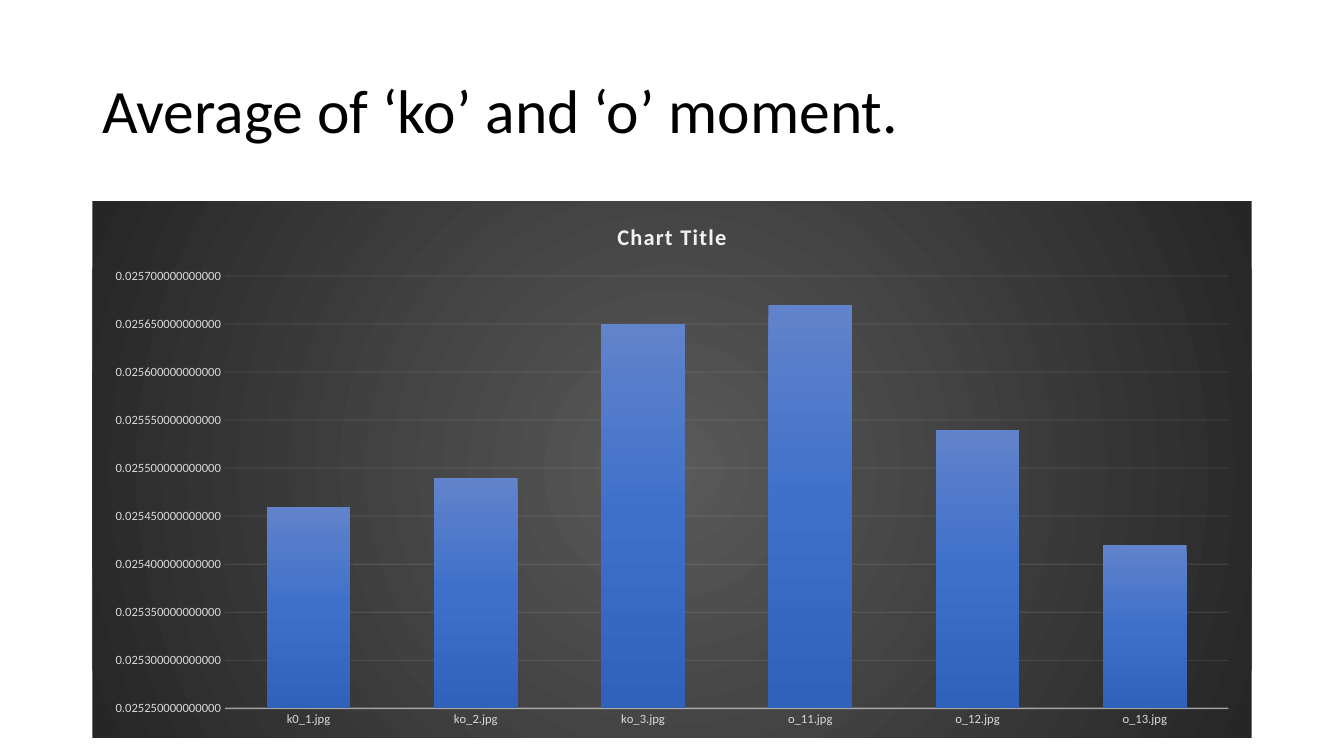
from lxml import etree
from pptx import Presentation
from pptx.chart.data import CategoryChartData
from pptx.dml.color import RGBColor
from pptx.enum.chart import XL_CHART_TYPE, XL_TICK_MARK
from pptx.enum.text import MSO_ANCHOR
from pptx.oxml import parse_xml
from pptx.oxml.ns import qn
from pptx.util import Pt

COLUMNS = XL_CHART_TYPE.COLUMN_CLUSTERED
NO_TICKS = XL_TICK_MARK.NONE
MIDDLE = MSO_ANCHOR.MIDDLE
A_NS = "http://schemas.openxmlformats.org/drawingml/2006/main"
NUMBER_FORMAT = "0.000000000000000"

COLORS = {
    "text": "000000",
    "pale": "F2F2F2",
    "label": "D9D9D9",
    "panel_center": "595959",
    "panel_edge": "262626",
    "bar_top": "6183CB",
    "bar_middle": "3E70CA",
    "bar_bottom": "3062BB",
}
CENTER_OUT = ('<a:path path="circle"><a:fillToRect l="50000" t="50000" '
              'r="50000" b="50000"/></a:path>')
DOWNWARD = '<a:lin ang="5400000" scaled="0"/>'

MOMENTS = {
    "k0_1.jpg": 0.02546,
    "ko_2.jpg": 0.02549,
    "ko_3.jpg": 0.02565,
    "o_11.jpg": 0.02567,
    "o_12.jpg": 0.02554,
    "o_13.jpg": 0.02542,
}


def rgb(name):
    return RGBColor.from_string(COLORS[name])


def gradient(names, direction):
    """Return a gradFill with evenly spaced stops."""
    step = 100000 // (len(names) - 1)
    stops = "".join(
        f'<a:gs pos="{i * step}"><a:srgbClr val="{COLORS[name]}"/></a:gs>'
        for i, name in enumerate(names))
    return parse_xml(f'<a:gradFill xmlns:a="{A_NS}" rotWithShape="1">'
                     f'<a:gsLst>{stops}</a:gsLst>{direction}</a:gradFill>')


class SlideBuilder:
    """Holds the style and the current slide."""

    def __init__(self, prs, font="Calibri"):
        self.font = font
        self.slide = prs.slides.add_slide(prs.slide_layouts[6])

    def set_font(self, font, size, color, bold=False):
        font.name = self.font
        font.size = Pt(size)
        font.bold = bold
        font.color.rgb = rgb(color)

    def set_line(self, line, color, width, opacity):
        """Style a chart line; opacity is in percent."""
        line.color.rgb = rgb(color)
        line.width = Pt(width)
        fill = line.fill._xPr.find(qn("a:solidFill"))
        alpha = etree.SubElement(fill[0], qn("a:alpha"))
        alpha.set("val", str(opacity * 1000))

    def heading(self, text, left, top, width, height):
        sp = self.slide.shapes.add_textbox(Pt(left), Pt(top), Pt(width), Pt(height))
        tf = sp.text_frame
        tf.word_wrap = True
        tf.vertical_anchor = MIDDLE
        p = tf.paragraphs[0]
        p.text = text
        p.line_spacing = 0.9
        self.set_font(p.font, 44, "text")

    def column_chart(self, title, values, left, top, width, height):
        data = CategoryChartData(number_format=NUMBER_FORMAT)
        data.categories = list(values)
        data.add_series("Series 1", list(values.values()))
        chart = self.slide.shapes.add_chart(
            COLUMNS, Pt(left), Pt(top), Pt(width), Pt(height), data).chart
        self.set_font(chart.font, 10, "text")
        chart.has_legend = False
        self.chart_title(chart, title)
        self.chart_axes(chart)

        plot = chart.plots[0]
        plot.gap_width = 100
        plot.vary_by_categories = False
        bars = plot.series[0]
        bars.invert_if_negative = False
        bars.format.line.fill.background()
        bars.format.fill.background()
        no_fill = chart.element.find(f".//{qn('c:ser')}/{qn('c:spPr')}/{qn('a:noFill')}")
        no_fill.getparent().replace(
            no_fill, gradient(["bar_top", "bar_middle", "bar_bottom"], DOWNWARD))

        panel = etree.Element(qn("c:spPr"))
        panel.append(gradient(["panel_center", "panel_edge"], CENTER_OUT))
        etree.SubElement(etree.SubElement(panel, qn("a:ln")), qn("a:noFill"))
        chart.element.find(qn("c:chart")).addnext(panel)

    def chart_title(self, chart, text):
        chart.has_title = True
        chart.chart_title.include_in_layout = False
        r = chart.chart_title.text_frame.paragraphs[0].add_run()
        r.text = text
        self.set_font(r.font, 16, "pale", bold=True)
        r._r.get_or_add_rPr().set("spc", "100")

    def chart_axes(self, chart):
        categories, scale = chart.category_axis, chart.value_axis
        for axis in (categories, scale):
            axis.major_tick_mark = axis.minor_tick_mark = NO_TICKS
            self.set_font(axis.tick_labels.font, 9, "label")
        self.set_line(categories.format.line, "pale", 1, 54)
        scale.format.line.fill.background()
        scale.minimum_scale = 0.02525
        scale.maximum_scale = 0.0257
        scale.major_unit = 0.00005
        scale.tick_labels.number_format = NUMBER_FORMAT
        scale.tick_labels.number_format_is_linked = False
        self.set_line(scale.major_gridlines.format.line, "pale", 0.75, 10)


def main():
    prs = Presentation()
    prs.slide_width, prs.slide_height = Pt(960), Pt(540)
    s = SlideBuilder(prs)
    s.heading("Average of ‘ko’ and ‘o’ moment.", 66, 28.75, 828, 104.4)
    s.column_chart("Chart Title", MOMENTS, 66, 143.75, 828, 383.25)
    prs.save("out.pptx")


if __name__ == "__main__":
    main()
